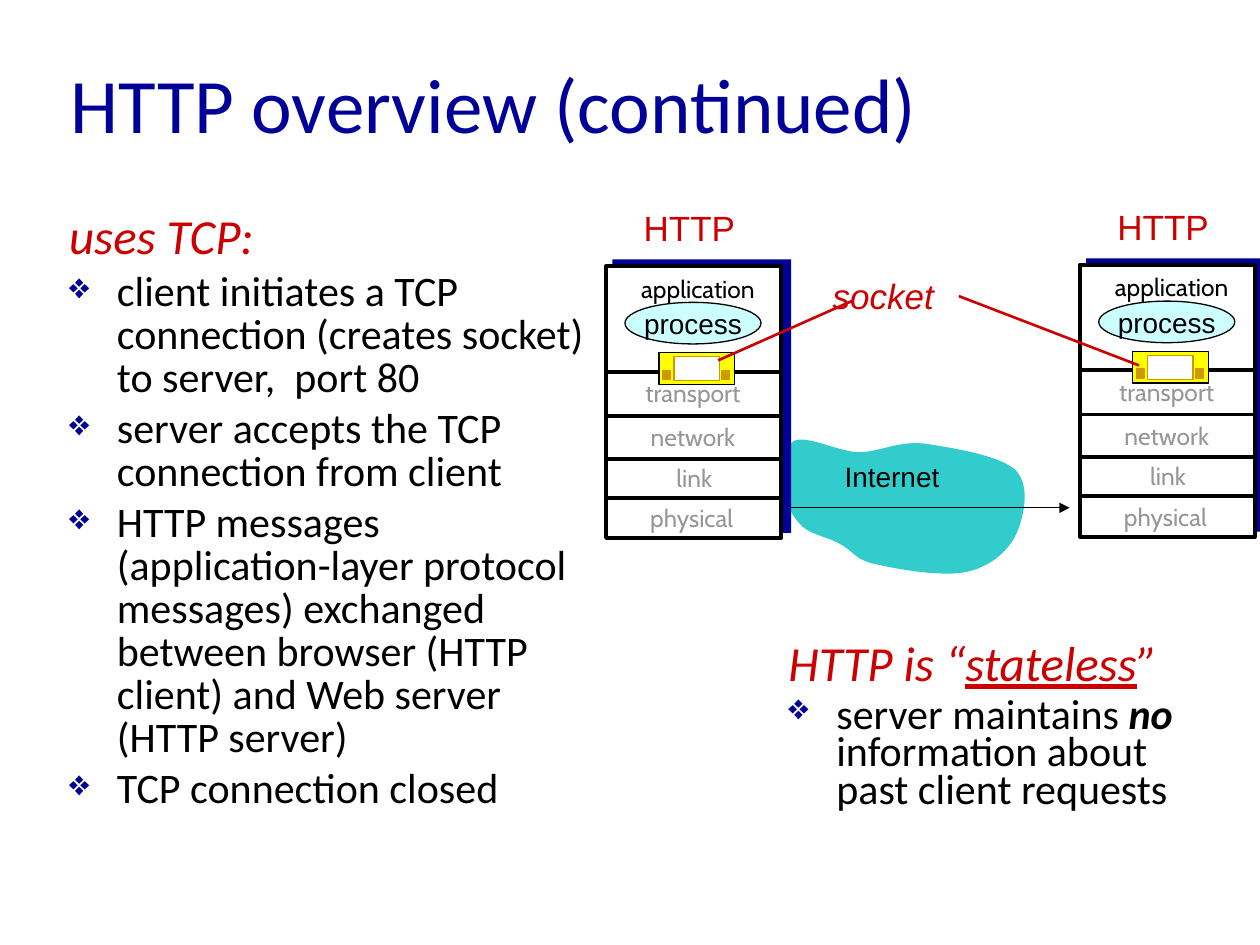
from lxml import etree
from pptx import Presentation
from pptx.dml.color import RGBColor
from pptx.enum import shapes as kinds, text as txt
from pptx.oxml.ns import qn
from pptx.util import Inches, Pt

NAVY, RED, BLACK, GREY = "000099", "CC0000", "000000", "969696"
WHITE, GOLD = "FFFFFF", "CC9900"
BODY = dict(name="Calibri", size=Pt(24))
HEADING = dict(name="Calibri", size=Pt(28), italic=True)
LAYER = dict(name="Cabin", size=Pt(14))
LABEL = dict(name="Arial", size=Pt(16))
CALLOUT = dict(name="Arial", size=Pt(20))
CENTER = txt.PP_ALIGN.CENTER

# Cloud outline: start point, then cubic curves as (control, control, end)
CLOUD_START = (6.23, 3.9)
CLOUD_CURVES = [
    ((6.22, 3.78), (6.21, 3.56), (6.3, 3.5)),
    ((6.4, 3.45), (6.64, 3.58), (6.81, 3.59)),
    ((6.98, 3.59), (7.12, 3.5), (7.33, 3.52)),
    ((7.53, 3.55), (7.93, 3.61), (8.06, 3.73)),
    ((8.18, 3.85), (8.13, 4.09), (8.07, 4.23)),
    ((8.01, 4.37), (7.86, 4.5), (7.67, 4.54)),
    ((7.48, 4.58), (7.13, 4.52), (6.96, 4.48)),
    ((6.79, 4.45), (6.77, 4.37), (6.67, 4.32)),
    ((6.57, 4.26), (6.45, 4.25), (6.37, 4.18)),
    ((6.3, 4.11), (6.23, 4.01), (6.23, 3.9)),
]
# Protocol layers: label, label left and top, colour (from the host's corner)
LAYERS = [
    ("application", 0.01, -0.01, BLACK),
    ("transport", -0.03, 0.82, GREY),
    ("network", -0.03, 1.17, GREY),
    ("link", -0.02, 1.49, GREY),
    ("physical", -0.04, 1.81, GREY),
]
DIVIDERS = [0.84, 1.19, 1.53, 1.84]


def color(hex_value):
    return RGBColor.from_string(hex_value)


def add_run(paragraph, words, font, hex_value):
    run = paragraph.add_run()
    run.text = words
    for key, value in font.items():
        setattr(run.font, key, value)
    run.font.color.rgb = color(hex_value)


def add_shape(shapes, kind, x, y, w, h, fill, line=None, weight=0.75):
    shape = shapes.add_shape(kind, Inches(x), Inches(y), Inches(w), Inches(h))
    paint(shape, fill, line, weight)
    return shape


def paint(shape, fill, line=None, weight=0.75):
    shape.shadow.inherit = False
    shape.fill.solid()
    shape.fill.fore_color.rgb = color(fill)
    if line:
        shape.line.color.rgb = color(line)
        shape.line.width = Pt(weight)
    else:
        shape.line.fill.background()


def add_line(shapes, start, end, hex_value, weight, arrows=False):
    line = shapes.add_connector(
        kinds.MSO_CONNECTOR.STRAIGHT, *map(Inches, start + end))
    line.line.color.rgb = color(hex_value)
    line.line.width = Pt(weight)
    if arrows:
        outline = line.line._get_or_add_ln()
        for tag in ("a:headEnd", "a:tailEnd"):
            etree.SubElement(outline, qn(tag), type="triangle")
    etree.SubElement(line._element.spPr, qn("a:effectLst"))


def add_text_box(shapes, x, y, w, h, wrap=True):
    frame = shapes.add_textbox(
        Inches(x), Inches(y), Inches(w), Inches(h)).text_frame
    frame.word_wrap = wrap
    return frame


def add_label(shapes, words, at, font, hex_value, wrap=False, **layout):
    frame = add_text_box(shapes, *at, wrap=wrap)
    frame.auto_size = txt.MSO_AUTO_SIZE.SHAPE_TO_FIT_TEXT
    paragraph = frame.paragraphs[0]
    for key, value in layout.items():
        setattr(paragraph, key, value)
    add_run(paragraph, words, font, hex_value)


def add_bullet(paragraph):
    props = paragraph._p.get_or_add_pPr()
    bullet_color = etree.SubElement(props, qn("a:buClr"))
    etree.SubElement(bullet_color, qn("a:srgbClr"), val=NAVY)
    etree.SubElement(props, qn("a:buSzPct"), val="85000")
    etree.SubElement(props, qn("a:buChar"), char="❖")


def add_body(shapes, at, heading, items, spacing):
    """A red heading over bulleted items; each is a list of (words, format)."""
    frame = add_text_box(shapes, *at)
    for index, runs in enumerate([heading] + items):
        paragraph = frame.add_paragraph() if index else frame.paragraphs[0]
        font, hex_value = (BODY, BLACK) if index else (HEADING, RED)
        paragraph.line_spacing = spacing
        paragraph.space_before = Pt(font["size"].pt * 0.2)
        props = paragraph._p.get_or_add_pPr()
        props.set("marL", str(Inches(0.38)))
        props.set("indent", str(Inches(-0.38)))
        if index:
            add_bullet(paragraph)
        for words, extra in runs:
            add_run(paragraph, words, {**font, **extra}, hex_value)


def add_cloud(shapes, steps=12):
    points, p0 = [], CLOUD_START
    for p1, p2, p3 in CLOUD_CURVES:
        for t in (step / steps for step in range(1, steps + 1)):
            s = 1 - t
            points.append(tuple(
                Inches(s**3 * a + 3 * s * s * t * b + 3 * s * t * t * c + t**3 * d)
                for a, b, c, d in zip(p0, p1, p2, p3)))
        p0 = p3
    builder = shapes.build_freeform(*map(Inches, CLOUD_START))
    builder.add_line_segments(points, close=True)
    paint(builder.convert_to_shape(), "33CCCC")


def add_socket(shapes, x, y):
    rect = kinds.MSO_SHAPE.RECTANGLE
    socket = shapes.add_group_shape().shapes
    add_shape(socket, rect, x, y, 0.6, 0.25, "FFFF00", BLACK)
    add_shape(socket, rect, x + 0.12, y + 0.03, 0.36, 0.19, WHITE, GOLD)
    for pin in (0.5, 0.03):
        add_shape(socket, rect, x + pin, y + 0.14, 0.06, 0.07, GOLD, GOLD)


def add_host(shapes, x, y):
    """Protocol stack whose white box has its corner at x, y."""
    rect = kinds.MSO_SHAPE.RECTANGLE
    add_shape(shapes, rect, x + 0.05, y - 0.05, 1.42, 2.17, NAVY)
    add_shape(shapes, rect, x, y, 1.39, 2.16, WHITE, BLACK, 2.25)
    for drop in DIVIDERS:
        add_line(shapes, (x + 0.01, y + drop), (x + 1.39, y + drop), BLACK, 2.25)
    for words, dx, dy, hex_value in LAYERS:
        add_label(shapes, words, (x + dx, y + dy, 1.44, 0.36), LAYER, hex_value,
                  wrap=True, alignment=CENTER, line_spacing=1.1)
    process = add_shape(shapes, kinds.MSO_SHAPE.OVAL, x + 0.15, y + 0.29,
                        1.08, 0.33, "CCFFFF", BLACK).text_frame
    process.word_wrap = False
    process.vertical_anchor = txt.MSO_ANCHOR.MIDDLE
    process.paragraphs[0].alignment = CENTER
    add_run(process.paragraphs[0], "process", LABEL, BLACK)
    add_socket(shapes, x + 0.42, y + 0.69)


def add_title(slide, words):
    title = slide.shapes.title
    place = dict(left=0.46, top=0.38, width=8.5, height=0.87)
    for key, value in place.items():
        setattr(title, key, Inches(value))
    frame = title.text_frame
    frame.auto_size = txt.MSO_AUTO_SIZE.NONE
    frame.vertical_anchor = txt.MSO_ANCHOR.MIDDLE
    frame.paragraphs[0].alignment = txt.PP_ALIGN.LEFT
    add_run(frame.paragraphs[0], words, dict(name="Calibri", size=Pt(44)), NAVY)


def main():
    deck = Presentation()
    deck.slide_width, deck.slide_height = Inches(10), Inches(7.5)
    slide = deck.slides.add_slide(deck.slide_layouts[5])
    shapes = slide.shapes
    add_title(slide, "HTTP overview (continued)")

    # Explanations
    tcp_steps = [
        "client initiates a TCP connection (creates socket) to server,  port 80",
        "server accepts the TCP connection from client",
        "HTTP messages (application-layer protocol messages) exchanged "
        "between browser (HTTP client) and Web server (HTTP server)",
        "TCP connection closed",
    ]
    add_body(shapes, (0.45, 1.65, 4.34, 5.08), [("uses TCP:", {})],
             [[(step, {})] for step in tcp_steps], 0.85)
    add_body(shapes, (6.16, 5.08, 3.5, 1.58),
             [("HTTP is “", {}), ("stateless", dict(underline=True)), ("”", {})],
             [[("server maintains ", {}), ("no", dict(bold=True, italic=True)),
               (" information about past client requests", {})]], 0.75)

    # Network between the hosts
    add_cloud(shapes)
    add_label(shapes, "Internet", (6.6, 3.6, 0.96, 0.37), LABEL, BLACK,
              alignment=CENTER)
    add_line(shapes, (5.86, 4.03), (8.49, 4.03), BLACK, 0.75, arrows=True)

    # Client and server
    for x, y in ((4.81, 2.11), (8.57, 2.1)):
        add_host(shapes, x, y)
        add_label(shapes, "HTTP", (x + 0.2, y - 0.52, 0.93, 0.44), CALLOUT, RED,
                  space_before=Pt(4))

    # Socket callout
    add_label(shapes, "socket", (6.51, 2.17, 1.02, 0.4),
              {**CALLOUT, "italic": True}, RED, line_spacing=0.9)
    add_line(shapes, (5.7, 2.86), (6.76, 2.39), RED, 1.5)
    add_line(shapes, (9.04, 2.9), (7.61, 2.35), RED, 1.5)

    deck.save("out.pptx")


if __name__ == "__main__":
    main()
